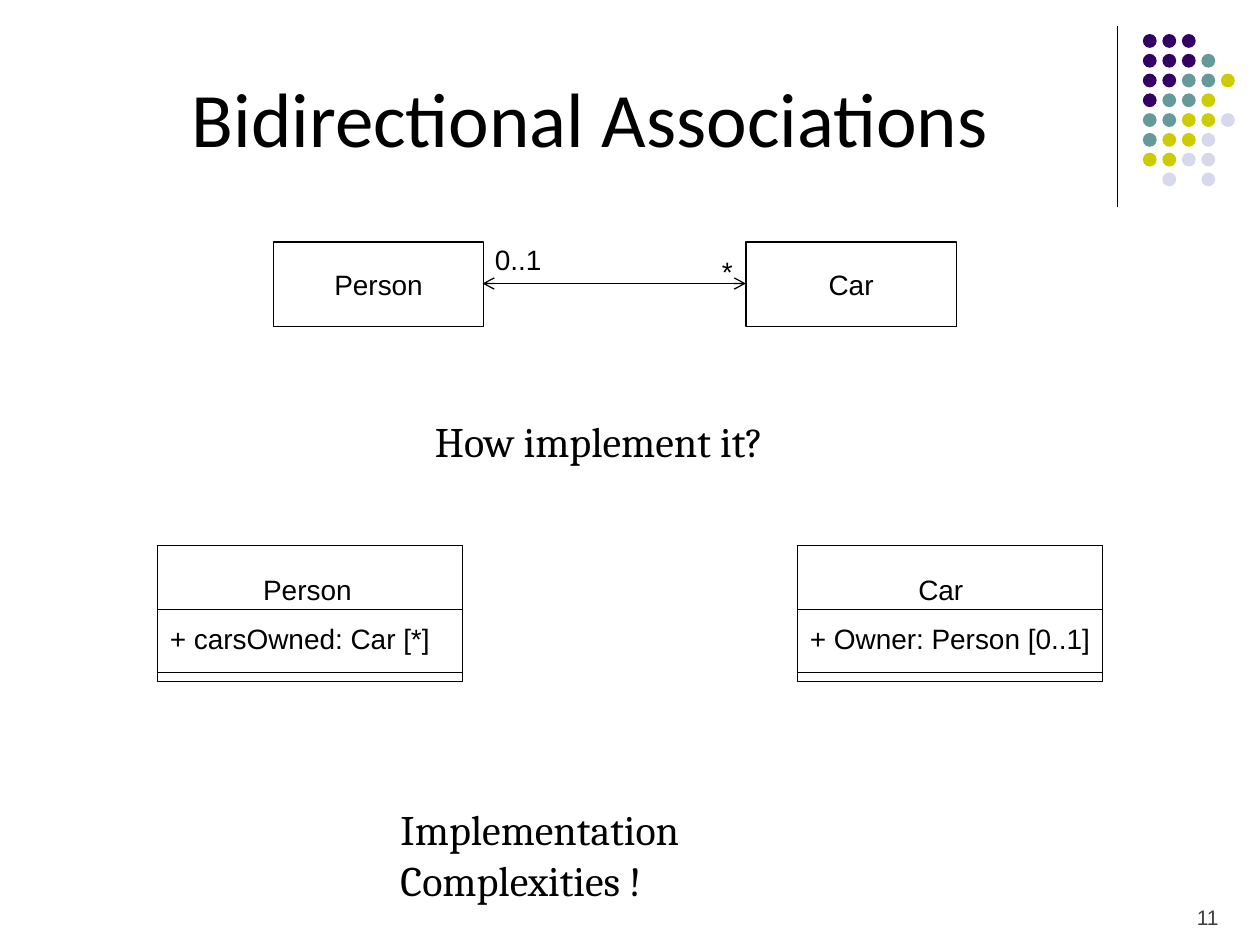
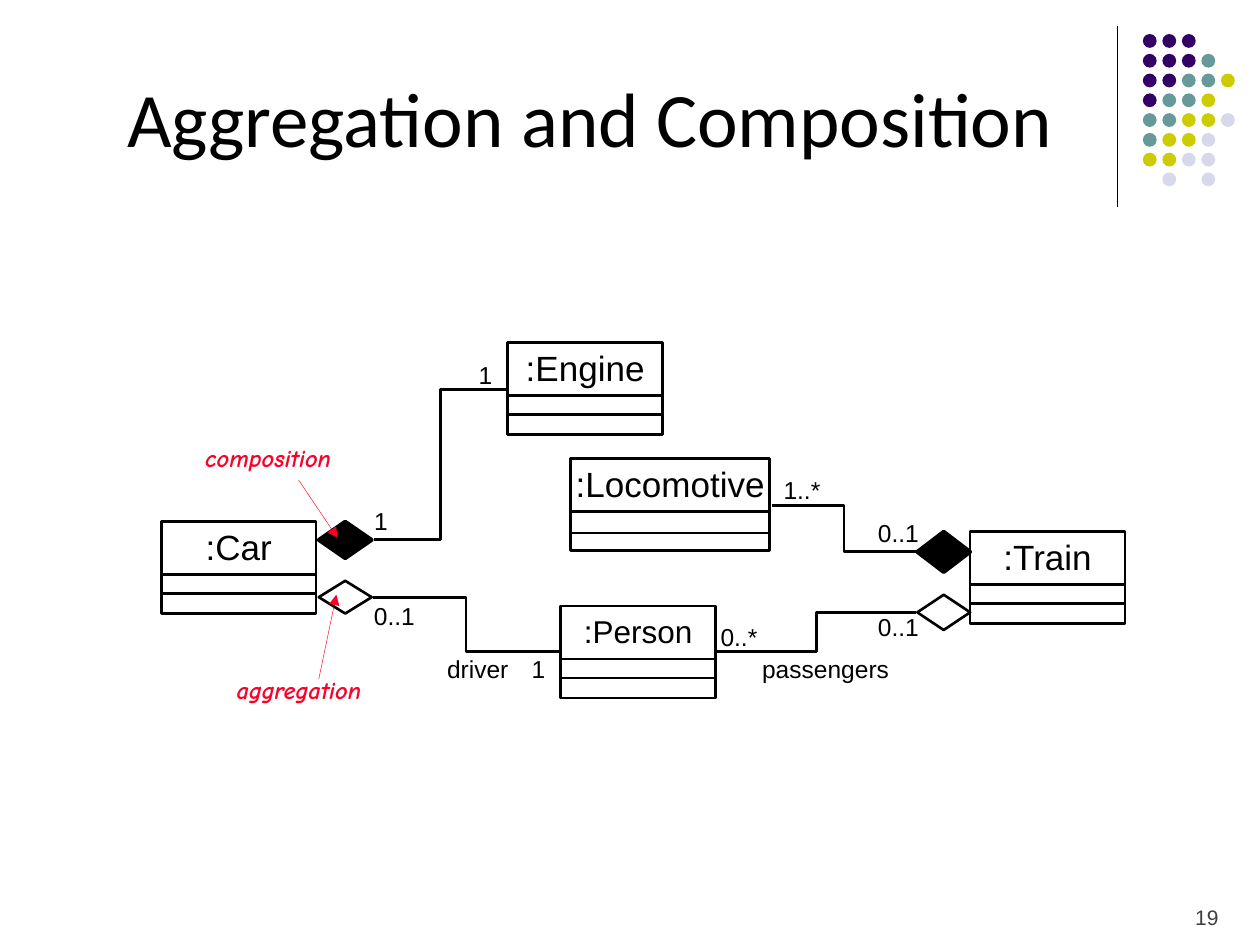
"""Build two slides on associations, aggregation and composition."""
from lxml.etree import SubElement as Sub
from pptx import Presentation
from pptx.dml.color import RGBColor
from pptx.enum.shapes import MSO_CONNECTOR as Conn, MSO_SHAPE as Form
from pptx.enum.text import MSO_ANCHOR as Anchor, MSO_AUTO_SIZE as Auto, PP_ALIGN as Align
from pptx.oxml.ns import qn
from pptx.util import Inches, Pt

BLACK = RGBColor(0x00, 0x00, 0x00)
WHITE = RGBColor(0xFF, 0xFF, 0xFF)
GREY = RGBColor(0x3F, 0x3F, 0x3F)
RED = RGBColor(0xFC, 0x01, 0x28)
DOTS = {
    "P": RGBColor(0x33, 0x00, 0x66),
    "T": RGBColor(0x66, 0x99, 0x99),
    "Y": RGBColor(0xCC, 0xCC, 0x00),
    "L": RGBColor(0xD8, 0xD8, 0xEC),
}
ROWS = ("PPP..", "PPPT.", "PPTTY", "PTTY.", "TTYYL", "TYYL.", "YYLL.", ".L.L.")
COLS, LINES = 100, 75


class Deck:
    """Style and current slide, measured on a grid of 100 columns and 75 rows."""

    def __init__(self):
        self.show = Presentation()
        self.show.slide_width, self.show.slide_height = Inches(10), Inches(7.5)
        self.slide = None

    def grid(self, *spots):
        """Turn alternating columns and rows into lengths."""
        units = self.show.slide_width / COLS, self.show.slide_height / LINES
        return [round(spot * units[i % 2]) for i, spot in enumerate(spots)]

    def page(self, title, number):
        """Start a slide with its title, rule, dots and number."""
        self.slide = self.show.slides.add_slide(self.show.slide_layouts[5])
        self.line(88.7, 2.1, 88.7, 16.4)
        for r, row in enumerate(ROWS):
            for c, key in enumerate(row):
                if key in DOTS:
                    spot = 90.7 + 1.55 * c, 2.7 + 1.57 * r, 1.1, 1.1
                    self.shape(Form.OVAL, spot, fill=DOTS[key], width=0)
        head = self.slide.shapes.title
        head.left, head.top, head.width, head.height = self.grid(5, 3, 83.7, 12.5)
        self.words(head, [title], 44, "Calibri", align=Align.CENTER, anchor=Anchor.MIDDLE, wrap=True)
        foot = self.label(number, (89.7, 70.8, 8, 3), 12, color=GREY, align=Align.RIGHT,
                          anchor=Anchor.BOTTOM, wrap=True, fit=Auto.NONE)
        foot.text_frame.margin_bottom = 0

    def words(self, shape, texts, size, font="Arial", color=BLACK, bold=None,
              align=Align.LEFT, anchor=Anchor.TOP, wrap=False):
        """Fill a shape with paragraphs of one style."""
        frame = shape.text_frame
        frame.text = "\n".join(texts)
        frame.word_wrap, frame.vertical_anchor = wrap, anchor
        for para in frame.paragraphs:
            para.alignment = align
            for run in para.runs:
                face = run.font
                face.name, face.size, face.color.rgb = font, Pt(size), color
                face.bold = face.italic = bold

    def label(self, text, spot, size=14, fit=Auto.SHAPE_TO_FIT_TEXT, **style):
        """Add free text."""
        box = self.slide.shapes.add_textbox(*self.grid(*spot))
        self.words(box, [text], size, **style)
        box.text_frame.auto_size = fit
        return box

    def shape(self, form, spot, fill=None, width=0.75):
        """Add a preset shape, without an outline if width is 0."""
        item = self.slide.shapes.add_shape(form, *self.grid(*spot))
        item.shadow.inherit = False
        if fill is None:
            item.fill.background()
        else:
            item.fill.solid()
            item.fill.fore_color.rgb = fill
        if width:
            item.line.color.rgb, item.line.width = BLACK, Pt(width)
        else:
            item.line.fill.background()
        return item

    def line(self, *ends, kind=Conn.STRAIGHT, color=BLACK, width=0.75, head=None, tail=None):
        """Add a straight or bent line with optional arrowheads."""
        link = self.slide.shapes.add_connector(kind, *self.grid(*ends))
        link.line.color.rgb, link.line.width = color, Pt(width)
        edge = link._element.spPr.find(qn("a:ln"))
        for tag, tip in (("a:headEnd", head), ("a:tailEnd", tail)):
            if tip:
                Sub(edge, qn(tag), type=tip)
        Sub(link._element.spPr, qn("a:effectLst"))

    def entity(self, name, x):
        """Add a plain class box."""
        box = self.shape(Form.RECTANGLE, (x, 19.2, 16.7, 6.7))
        self.words(box, [name], 16, align=Align.CENTER, anchor=Anchor.MIDDLE)

    def detail(self, name, field, x, indent):
        """Add a class box with one attribute and two rules."""
        box = self.shape(Form.RECTANGLE, (x, 43.3, 24.2, 10.8))
        self.words(box, [name, field], 16, anchor=Anchor.MIDDLE)
        first, last = box.text_frame.paragraphs
        first._p.get_or_add_pPr().set("marL", str(self.grid(indent)[0]))
        last.space_before = Pt(9)
        for y in (48.35, 53.35):
            self.line(x, y, x + 24.2, y)

    def object(self, name, x, y, w=12.3, band=1.5, size=20, pad=0.3):
        """Add an object box with a middle band."""
        box = self.shape(Form.RECTANGLE, (x, y, w, 7.3), width=1.5)
        self.words(box, [name], size, align=Align.CENTER)
        box.text_frame.margin_top = self.grid(pad)[0]
        self.shape(Form.RECTANGLE, (x, y + 4.2, w, band), width=1.5)

    def note(self, text, spot, *ends):
        """Add a red remark with its arrow."""
        self.label(text, spot, font="Comic Neue", color=RED, bold=True)
        self.line(*ends, color=RED, width=0.25, tail="triangle")


def two_way(deck):
    """Draw the slide on bidirectional associations."""
    deck.page("Bidirectional Associations", "11")
    deck.entity("Person", 21.7)
    deck.entity("Car", 59.2)
    deck.line(38.3, 22.5, 59.2, 22.5, head="arrow", tail="arrow")
    deck.label("*", (56.3, 19.7, 2.9, 3.7), 16)
    deck.label("0..1", (38.3, 18.8, 5.7, 3.7), 16)
    deck.detail("Person", "+ carsOwned: Car [*]", 12.5, 7.4)
    deck.detail("Car", "+ Owner: Person [0..1]", 63.3, 8.6)
    deck.label("Implementation Complexities !", (30.8, 63.3, 43.5, 5), 24, font="Cambria", wrap=True)
    deck.label("How implement it?", (29.2, 32.5, 36.7, 5), 24, font="Cambria",
               align=Align.CENTER, wrap=True)


def parts(deck):
    """Draw the slide on aggregation and composition."""
    deck.page("Aggregation and Composition", "19")
    deck.object(":Engine", 40.3, 27.2)
    deck.object(":Person", 44.5, 48.1, size=18, pad=0.5)
    deck.object(":Car", 12.8, 41.4)
    deck.object(":Train", 77, 42.2)
    deck.object(":Locomotive", 45.3, 36.4, w=15.8, band=1.7)
    for ends in ((29.6, 47.4, 44.4, 51.7), (29.7, 42.8, 40.2, 30.9),
                 (61.3, 40.1, 72.7, 43.8), (56.9, 51.7, 72.7, 48.6)):
        deck.line(*ends, kind=Conn.ELBOW, width=1.5)
    for x, y, h, fill, width in ((25.3, 41.4, 2.9, BLACK, 2.25), (25.3, 46.1, 2.6, WHITE, 1.5),
                                 (72.8, 42.2, 3.2, BLACK, 2.25), (72.8, 47.2, 2.8, WHITE, 1.5)):
        deck.shape(Form.DIAMOND, (x, y, 4.2, h), fill, width)
    for text, x, y, w in (("1", 28.7, 39.7, 3.1), ("0..1", 28.7, 47.2, 5.3),
                          ("0..1", 68.7, 48.1, 5.3), ("1..*", 61.2, 37.2, 4.9),
                          ("passengers", 59.5, 51.4, 12.1), ("driver", 34.5, 51.4, 6.9),
                          ("1", 41.2, 51.4, 3.1), ("1", 37, 28.1, 3.1),
                          ("0..1", 68.7, 40.6, 5.3), ("0..*", 56.2, 48.9, 4.9)):
        deck.label(text, (x, y, w, 3.3))
    deck.note("composition", (15.3, 34.7, 12.6, 3.3), 23.7, 38.1, 26.8, 42.7)
    deck.note("aggregation", (17.8, 53.1, 12.8, 3.3), 25.3, 53.9, 26.7, 47.2)


def main():
    """Build and save the deck."""
    deck = Deck()
    two_way(deck)
    parts(deck)
    deck.show.save("out.pptx")


if __name__ == "__main__":
    main()
